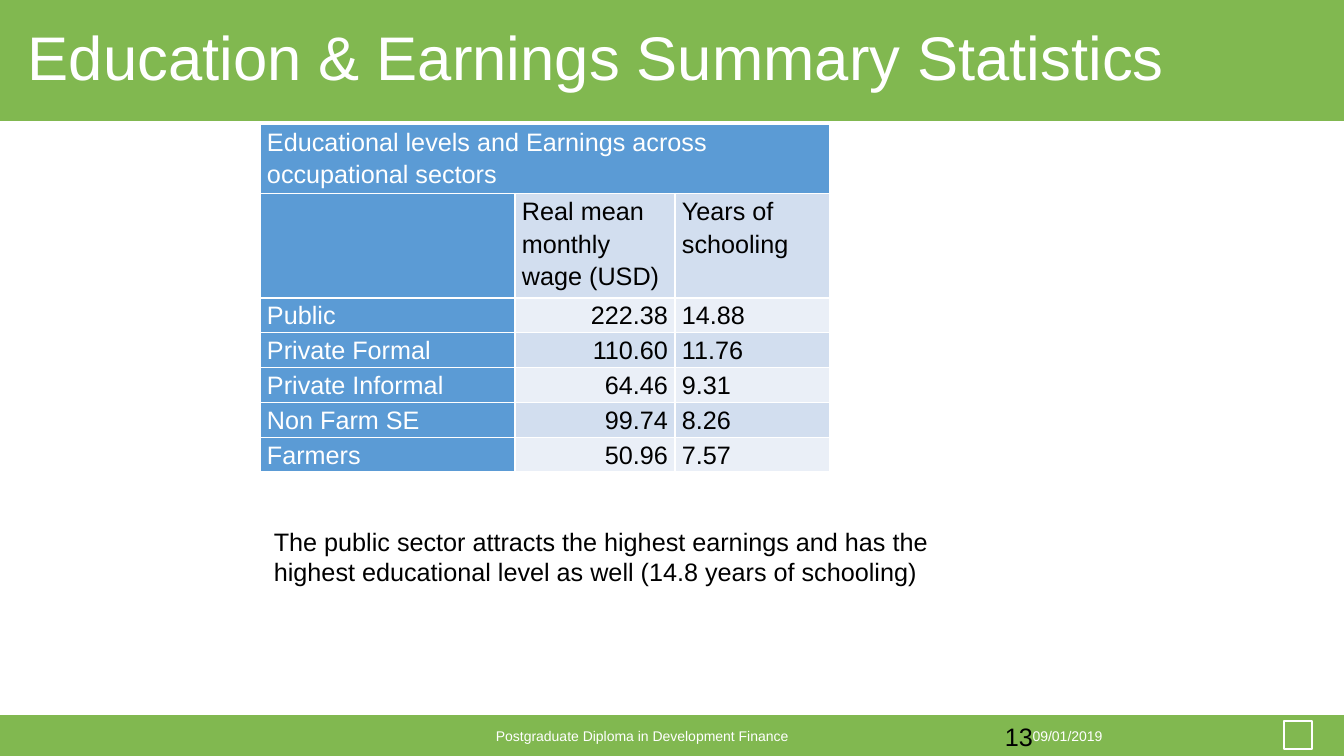
import pptx
import pptx.util
import pptx.dml.color
import pptx.enum.shapes
import pptx.enum.text
import pptx.oxml
from lxml import etree

ALIGN = pptx.enum.text.PP_ALIGN
ANCHOR = pptx.enum.text.MSO_ANCHOR

TABLE_TITLE = "Educational levels and Earnings across occupational sectors"
COLUMN_HEADS = ("", "Real mean monthly wage (USD)", "Years of schooling")
SECTORS = [
    ("Public", "222.38", "14.88"),
    ("Private Formal", "110.60", "11.76"),
    ("Private Informal", "64.46", "9.31"),
    ("Non Farm SE", "99.74", "8.26"),
    ("Farmers", "50.96", "7.57"),
]

THEME = {
    "font": "Arial",
    "green": "81B850", "blue": "5B9BD5", "white": "FFFFFF", "black": "000000",
    "bands": ("EAEFF7", "D2DEEF"),
    "title": 44, "body": 18, "footer": 10,
}

# text, (left, top, width, height) in px, size, colour, alignment, anchor, line spacing
TEXTS = [
    ("Postgraduate Diploma in Development Finance", (301, 723, 682, 27),
     "footer", "white", ALIGN.CENTER, ANCHOR.TOP, None),
    ("09/01/2019", (851, 723, 433, 27),
     "footer", "white", ALIGN.CENTER, ANCHOR.TOP, None),
    ("Education & Earnings Summary Statistics", (18, 0, 1222, 121),
     "title", "white", ALIGN.LEFT, ANCHOR.MIDDLE, 0.9),
    ("13", (995, 716, 290, 40),
     "body", "black", ALIGN.LEFT, ANCHOR.TOP, None),
    ("The public sector attracts the highest earnings and has the highest "
     "educational level as well (14.8 years of schooling)", (264, 521, 699, 72),
     "body", "black", ALIGN.LEFT, ANCHOR.TOP, None),
]

PAGE_SIZE = (1344, 756)
BANDS = [(0, 0, 1344, 121), (0, 715, 1344, 41)]
FOOTER_SQUARE = (1284, 721, 28, 28)
TABLE_CORNER = (260, 124)
COLUMN_WIDTHS = (255, 160, 155)
ROW_HEIGHTS = (64, 98) + (32,) * len(SECTORS)
CELL_INSET = 7


def px(length):
    return pptx.util.Inches(length / 100.8)


def colour(value):
    return pptx.dml.color.RGBColor.from_string(value)


def style(frame, size, ink, align, spacing):
    for para in frame.paragraphs:
        para.alignment = align
        if spacing:
            para.line_spacing = spacing
        for span in para.runs:
            span.font.name = THEME["font"]
            span.font.size = pptx.util.Pt(THEME[size])
            span.font.color.rgb = colour(THEME[ink])


def add_rectangle(page, place):
    box = page.shapes.add_shape(pptx.enum.shapes.MSO_SHAPE.RECTANGLE, *map(px, place))
    box.shadow.inherit = False
    return box


def add_text(page, text, place, size, ink, align, anchor, spacing):
    frame = page.shapes.add_textbox(*map(px, place)).text_frame
    frame.word_wrap = True
    frame.vertical_anchor = anchor
    frame.text = text
    style(frame, size, ink, align, spacing)


def add_borders(cell):
    """Draw 1 pt white lines on all sides, ahead of the fill as the schema asks."""
    properties = cell._tc.get_or_add_tcPr()
    for position, side in enumerate(("lnL", "lnR", "lnT", "lnB")):
        line = etree.Element(pptx.oxml.ns.qn("a:" + side), w=str(pptx.util.Pt(1)))
        fill = etree.SubElement(line, pptx.oxml.ns.qn("a:solidFill"))
        etree.SubElement(fill, pptx.oxml.ns.qn("a:srgbClr"), val=THEME["white"])
        properties.insert(position, line)


def add_earnings_table(page):
    rows = [(TABLE_TITLE, "", ""), COLUMN_HEADS] + SECTORS
    size = (sum(COLUMN_WIDTHS), sum(ROW_HEIGHTS))
    table = page.shapes.add_table(
        len(rows), len(COLUMN_WIDTHS), *map(px, TABLE_CORNER + size)).table
    for column, width in zip(table.columns, COLUMN_WIDTHS):
        column.width = px(width)
    for row, height in zip(table.rows, ROW_HEIGHTS):
        row.height = px(height)
    table.cell(0, 0).merge(table.cell(0, len(COLUMN_WIDTHS) - 1))

    for r, values in enumerate(rows):
        for c, value in enumerate(values):
            heading = r == 0 or c == 0
            cell = table.cell(r, c)
            cell.margin_left = cell.margin_right = px(CELL_INSET)
            cell.margin_top = cell.margin_bottom = 0
            cell.fill.solid()
            cell.fill.fore_color.rgb = colour(
                THEME["blue"] if heading else THEME["bands"][r % 2])
            add_borders(cell)
            if value:
                cell.text_frame.text = value
                align = ALIGN.LEFT if r < 2 else (ALIGN.LEFT, ALIGN.RIGHT, ALIGN.JUSTIFY)[c]
                style(cell.text_frame, "body", "white" if heading else "black", align, 1.15)


def main():
    deck = pptx.Presentation()
    deck.slide_width, deck.slide_height = map(px, PAGE_SIZE)
    page = deck.slides.add_slide(deck.slide_layouts[6])

    for place in BANDS:
        band = add_rectangle(page, place)
        band.fill.solid()
        band.fill.fore_color.rgb = colour(THEME["green"])
        band.line.fill.background()
    square = add_rectangle(page, FOOTER_SQUARE)
    square.fill.background()
    square.line.color.rgb = colour(THEME["white"])
    square.line.width = pptx.util.Pt(1)

    for entry in TEXTS:
        add_text(page, *entry)
    add_earnings_table(page)
    deck.save("out.pptx")


if __name__ == "__main__":
    main()
